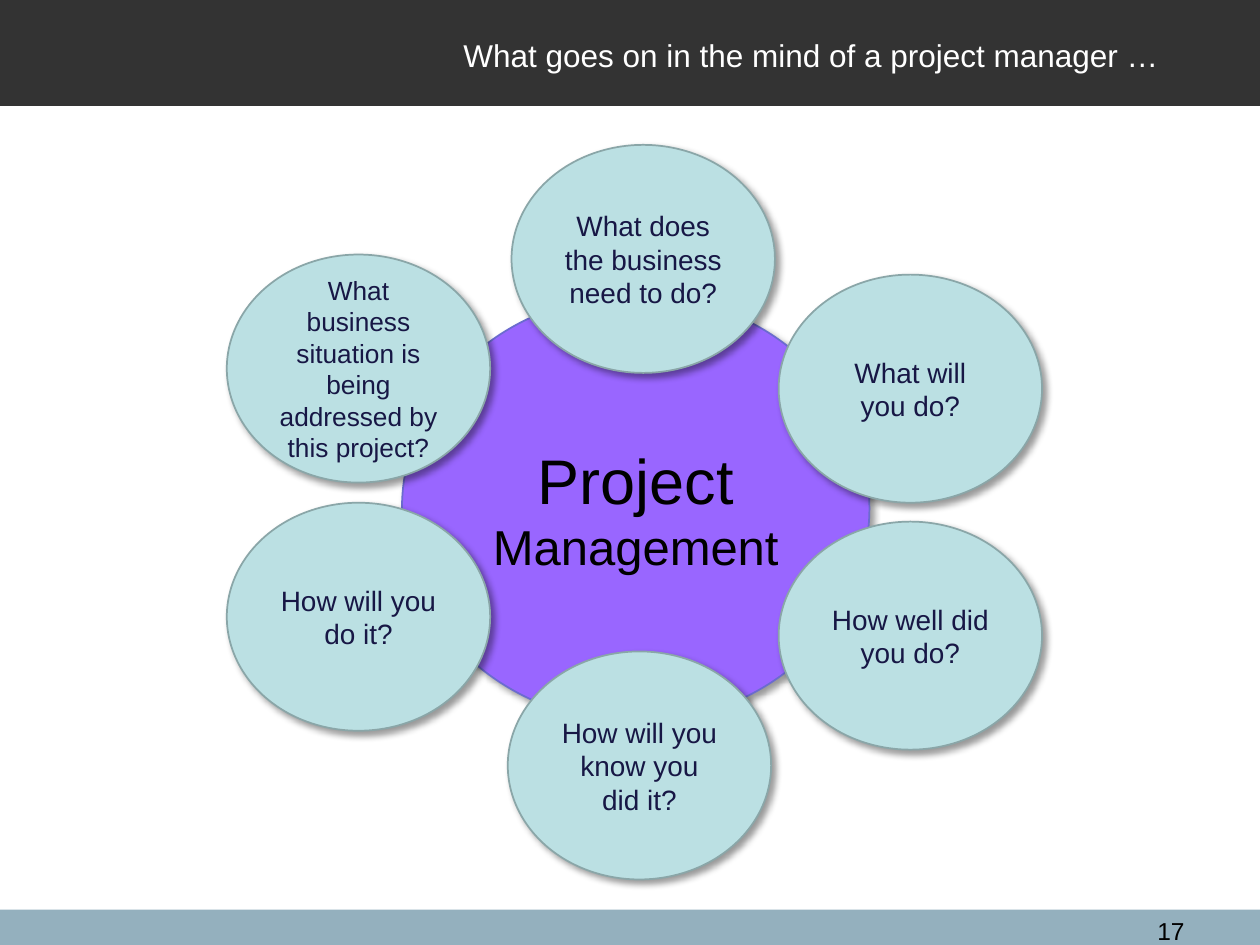
import pptx
import pptx.util
import pptx.dml.color
import pptx.enum.shapes
import pptx.enum.text
import pptx.oxml
import pptx.oxml.ns

Inches, Pt = pptx.util.Inches, pptx.util.Pt
RGB = pptx.dml.color.RGBColor.from_string
SHAPE = pptx.enum.shapes.MSO_SHAPE
ALIGN = pptx.enum.text.PP_ALIGN
ANCHOR = pptx.enum.text.MSO_ANCHOR

COLORS = {
    "footer": "94B0BE", "header": "333333", "hub": "9966FF", "hub_line": "6B6BCF",
    "petal": "BBE0E3", "petal_line": "8AA6A8", "petal_text": "171745",
    "black": "000000", "white": "FFFFFF",
}
SHADOW = (
    '<a:effectLst %s><a:outerShdw blurRad="%d" dist="%d" dir="2700000" rotWithShape="0">'
    '<a:srgbClr val="%s"><a:alpha val="40000"/></a:srgbClr></a:outerShdw></a:effectLst>'
    % (pptx.oxml.ns.nsdecls("a"), Pt(4), Pt(3), COLORS["black"])
)


def write(sp, text, sizes, color, align=ALIGN.CENTER, anchor=ANCHOR.MIDDLE, wrap=True):
    """Write one paragraph per line of text, each with its own size."""
    tf = sp.text_frame
    tf.word_wrap = wrap
    tf.vertical_anchor = anchor
    for i, (line, size) in enumerate(zip(text.split("\n"), sizes)):
        p = tf.paragraphs[0] if i == 0 else tf.add_paragraph()
        p.alignment = align
        r = p.add_run()
        r.text = line
        r.font.name = "Arial"
        r.font.size = Pt(size)
        r.font.color.rgb = RGB(COLORS[color])


def add_shape(kind, box, fill, line=None):
    """Add a filled shape; an outlined one also casts a soft shadow."""
    sp = s.shapes.add_shape(kind, *map(Inches, box))
    sp.shadow.inherit = False
    sp.fill.solid()
    sp.fill.fore_color.rgb = RGB(COLORS[fill])
    if line is None:
        sp.line.fill.background()
    else:
        sp.line.color.rgb = RGB(COLORS[line])
        sp.line.width = Pt(1)
        spPr = sp.element.spPr
        spPr.replace(spPr.find(pptx.oxml.ns.qn("a:effectLst")), pptx.oxml.parse_xml(SHADOW))
    return sp


prs = pptx.Presentation()
prs.slide_width, prs.slide_height = Inches(10), Inches(7.5)
s = prs.slides.add_slide(prs.slide_layouts[6])

# Footer and header bands
add_shape(SHAPE.RECTANGLE, (0, 7.22, 10, 0.28), "footer")
add_shape(SHAPE.RECTANGLE, (0, 0, 10, 0.84), "header")

# Page number
sp = s.shapes.add_textbox(Inches(8.86), Inches(7.22), Inches(0.64), Inches(0.24))
write(sp, "17", [14], "black", align=ALIGN.RIGHT, anchor=ANCHOR.TOP)

# Central hub
sp = add_shape(SHAPE.OVAL, (3.19, 2.34, 3.71, 3.39), "hub", "hub_line")
write(sp, "Project\nManagement", [36, 28], "black")

# Questions around the hub: left, top, text size, text
questions = [
    (1.8, 2.02, 15, "What business situation is being addressed by this project?"),
    (1.8, 3.99, 16, "How will you do it?"),
    (4.03, 5.17, 16, "How will you know you did it?"),
    (4.06, 1.15, 16, "What does the business need to do?"),
    (6.18, 4.14, 16, "How well did you do?"),
    (6.18, 2.18, 16, "What will you do?"),
]
for left, top, size, text in questions:
    sp = add_shape(SHAPE.OVAL, (left, top, 2.09, 1.81), "petal", "petal_line")
    write(sp, text, [size], "petal_text")

# Title
sp = s.shapes.add_textbox(Inches(3.58), Inches(0.24), Inches(5.73), Inches(0.4))
write(sp, "What goes on in the mind of a project manager …", [18], "white",
      align=ALIGN.LEFT, anchor=ANCHOR.TOP, wrap=False)
sp.text_frame.auto_size = pptx.enum.text.MSO_AUTO_SIZE.SHAPE_TO_FIT_TEXT

prs.save("out.pptx")
